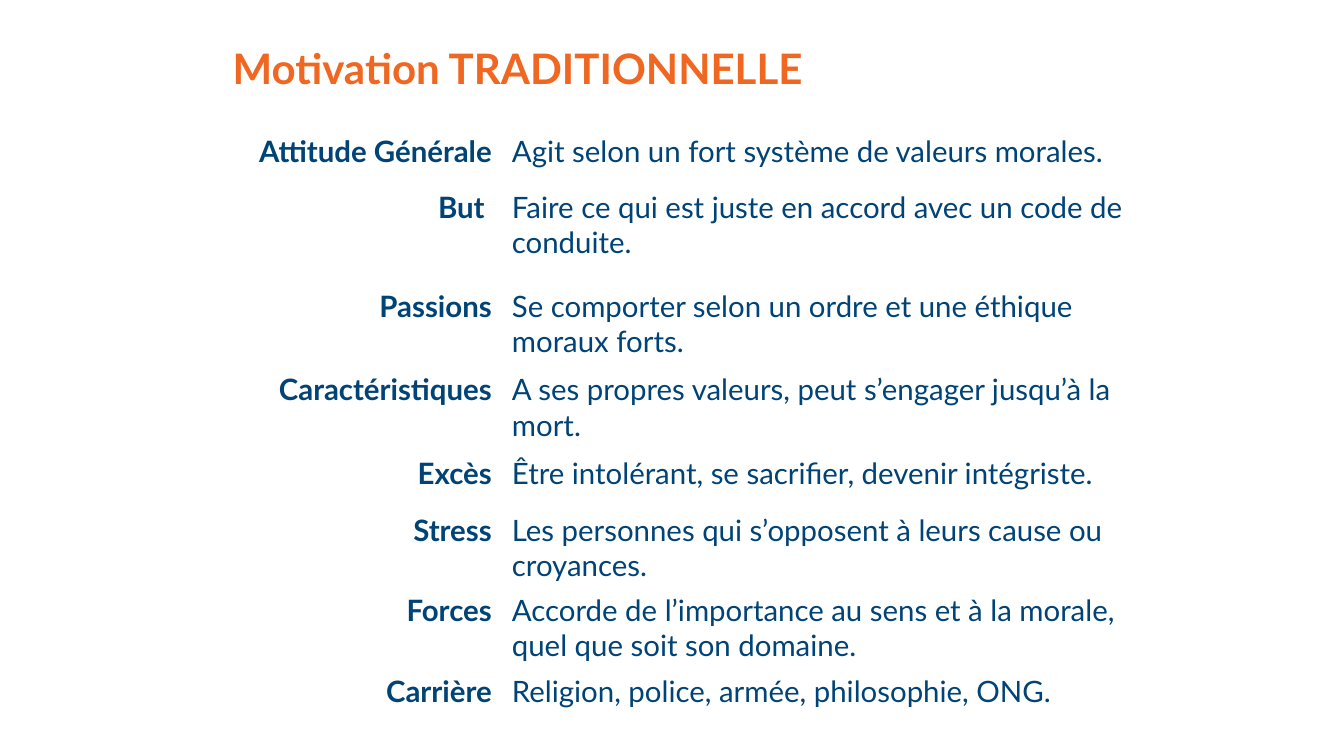
from pptx import Presentation
from pptx import util as u
from pptx.dml.color import RGBColor
from pptx.enum import text

TITLE = "Motivation TRADITIONNELLE"
# label, description, row height
ROWS = [
    ("Attitude Générale", "Agit selon un fort système de valeurs morales.", 40.3),
    ("But ", "Faire ce qui est juste en accord avec un code de conduite.", 70.6),
    ("Passions", "Se comporter selon un ordre et une éthique moraux forts.", 59.8),
    ("Caractéristiques", "A ses propres valeurs, peut s’engager jusqu’à la mort.", 59.8),
    ("Excès", "Être intolérant, se sacrifier, devenir intégriste.", 40.3),
    ("Stress", "Les personnes qui s’opposent à leurs cause ou croyances.", 40.3),
    ("Forces", "Accorde de l’importance au sens et à la morale, "
               "quel que soit son domaine.", 40.3),
    ("Carrière", "Religion, police, armée, philosophie, ONG.", 40.3),
]
COLUMNS = (216.7, 459.4)
COLORS = {"title": "F06722", "body": "004376"}


def style(p, size, color, bold):
    p.font.name = "Lato"
    p.font.size = u.Pt(size)
    p.font.bold = bold
    p.font.color.rgb = RGBColor.from_string(COLORS[color])


def add_title(s):
    tf = s.shapes.add_textbox(u.Pt(159.1), u.Pt(22.3), u.Pt(664.6), u.Pt(56.2)).text_frame
    tf.word_wrap = True
    tf.vertical_anchor = text.MSO_ANCHOR.MIDDLE
    p = tf.paragraphs[0]
    p.text = TITLE
    p.line_spacing = 0.9
    style(p, 30, "title", True)


def add_motivation_table(s):
    height = sum(row[2] for row in ROWS)
    table = s.shapes.add_table(len(ROWS), len(COLUMNS), u.Pt(141.8), u.Pt(91.4),
                               u.Pt(sum(COLUMNS)), u.Pt(height)).table
    table.first_row = table.horz_banding = False
    for column, width in zip(table.columns, COLUMNS):
        column.width = u.Pt(width)
    for row, (label, description, row_height) in zip(table.rows, ROWS):
        row.height = u.Pt(row_height)
        for cell, words, is_label in zip(row.cells, (label, description), (True, False)):
            cell.fill.background()
            p = cell.text_frame.paragraphs[0]
            p.text = words
            p.alignment = text.PP_ALIGN.RIGHT if is_label else text.PP_ALIGN.LEFT
            style(p, 21, "body", is_label)


def main():
    prs = Presentation()
    prs.slide_width, prs.slide_height = u.Pt(960), u.Pt(540)
    s = prs.slides.add_slide(prs.slide_layouts[6])
    add_title(s)
    add_motivation_table(s)
    prs.save("out.pptx")


if __name__ == "__main__":
    main()
